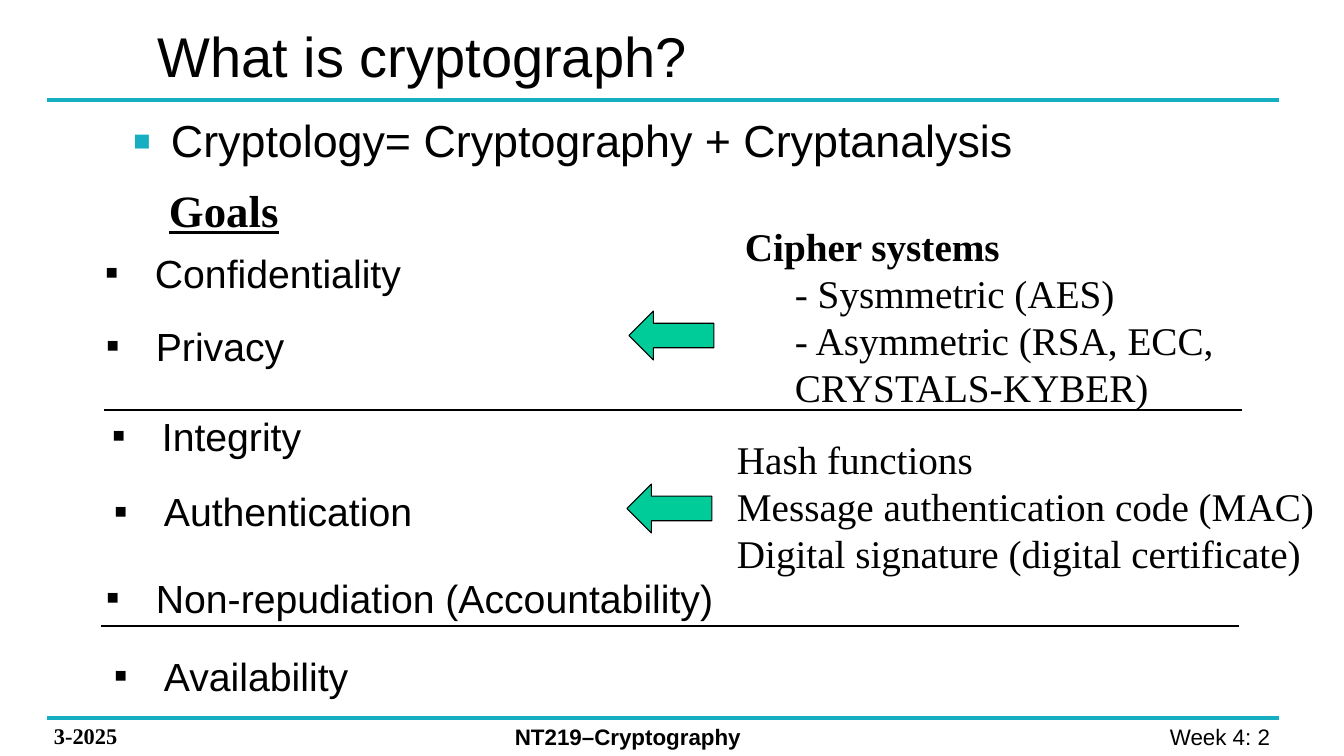
from pptx import Presentation
from pptx.dml.color import RGBColor
from pptx.enum.shapes import MSO_CONNECTOR as CONN, MSO_SHAPE as SHAPE
from pptx.enum.text import MSO_ANCHOR as ANCHOR, PP_ALIGN as ALIGN
from pptx.oxml.ns import qn
from pptx.util import Pt
from lxml.etree import SubElement

PX = 914400 / 100.8  # EMU in one px
SANS, SERIF = "Arial", "Times New Roman"
BLACK, TEAL, GREEN = "000000", "16AFC2", "00CC99"


def rgb(value):
    return RGBColor.from_string(value)


def add_text(box, lines, size, font=SANS, bold=False, align=ALIGN.LEFT,
             bullet=None, hang=0):
    """Add a text box; bullet is (colour, size in percent), hang its indent."""
    tf = slide.shapes.add_textbox(*[round(n * PX) for n in box]).text_frame
    tf.word_wrap = True
    for i, line in enumerate(lines):
        p = tf.paragraphs[0] if i == 0 else tf.add_paragraph()
        p.alignment = align
        if bullet:
            color, percent = bullet
            pPr = p._p.get_or_add_pPr()
            pPr.set("marL", str(round(hang * PX)))
            pPr.set("indent", str(-round(hang * PX)))
            SubElement(SubElement(pPr, qn("a:buClr")), qn("a:srgbClr"), val=color)
            SubElement(pPr, qn("a:buSzPct"), val=str(percent * 1000))
            SubElement(pPr, qn("a:buFont"), typeface=SANS)
            SubElement(pPr, qn("a:buChar"), char="▪")
        r = p.add_run()
        r.text = line
        r.font.name, r.font.size, r.font.bold = font, Pt(size), bold
        r.font.color.rgb = rgb(BLACK)
    return tf


prs = Presentation()
prs.slide_width, prs.slide_height = round(1344 * PX), round(756 * PX)
slide = prs.slides.add_slide(prs.slide_layouts[6])

# Header and footer rules, then the dividers between goal groups
for x1, x2, y, color, width in [
    (47, 1279, 100, TEAL, 2.25),
    (47, 1279, 718, TEAL, 2.25),
    (104, 1242, 410, BLACK, 0.75),
    (101, 1239, 626, BLACK, 0.75),
]:
    ends = [round(n * PX) for n in (x1, y, x2, y)]
    rule = slide.shapes.add_connector(CONN.STRAIGHT, *ends)
    rule.line.color.rgb = rgb(color)
    rule.line.width = Pt(width)
    SubElement(rule._element.spPr, qn("a:effectLst"))

# Footer
add_text((990, 718, 290, 37), ["Week 4: 2"], 16, align=ALIGN.RIGHT)
add_text((44, 717, 179, 37), ["3-2025"], 16, SERIF, bold=True)
add_text((505, 718, 412, 37), ["NT219–Cryptography"], 16, bold=True)

# Title and opening statement
title = add_text((148, 11, 734, 88), ["What is cryptograph?"], 40)
title.vertical_anchor = ANCHOR.MIDDLE
add_text((123, 108, 904, 60), ["Cryptology= Cryptography + Cryptanalysis"], 32,
         bullet=(TEAL, 125), hang=38)

# Goals
goals = add_text((159, 178, 151, 65), ["Goals"], 32, SERIF, bold=True)
goals.paragraphs[0].runs[0].font.underline = True
for x, y, width, goal in [
    (95, 244, 321, "Confidentiality"),
    (96, 317, 202, "Privacy"),
    (102, 407, 213, "Integrity"),
    (104, 482, 323, "Authentication"),
    (96, 569, 638, "Non-repudiation (Accountability)"),
    (104, 647, 258, "Availability"),
]:
    add_text((x, y, width, 57), [goal], 28, bullet=(BLACK, 100), hang=50)

# Mechanisms that serve the goals
ciphers = add_text((735, 217, 600, 201), [
    "Cipher systems",
    "- Sysmmetric (AES)",
    "- Asymmetric (RSA, ECC, CRYSTALS-KYBER)",
], 28, SERIF)
ciphers.paragraphs[0].runs[0].font.bold = True
for p in ciphers.paragraphs[1:]:
    p.level = 1
    pPr = p._p.get_or_add_pPr()
    pPr.set("marL", str(round(50 * PX)))
    pPr.set("indent", "0")
add_text((727, 430, 610, 152), [
    "Hash functions",
    "Message authentication code (MAC)",
    "Digital signature (digital certificate)",
], 28, SERIF)

# Arrows from mechanisms to goals
for x, y in [(629, 311), (627, 484)]:
    box = [round(n * PX) for n in (x, y, 85, 49)]
    arrow = slide.shapes.add_shape(SHAPE.LEFT_ARROW, *box)
    arrow.shadow.inherit = False
    arrow.fill.solid()
    arrow.fill.fore_color.rgb = rgb(GREEN)
    arrow.line.color.rgb = rgb(BLACK)
    arrow.line.width = Pt(0.75)

prs.save("out.pptx")
